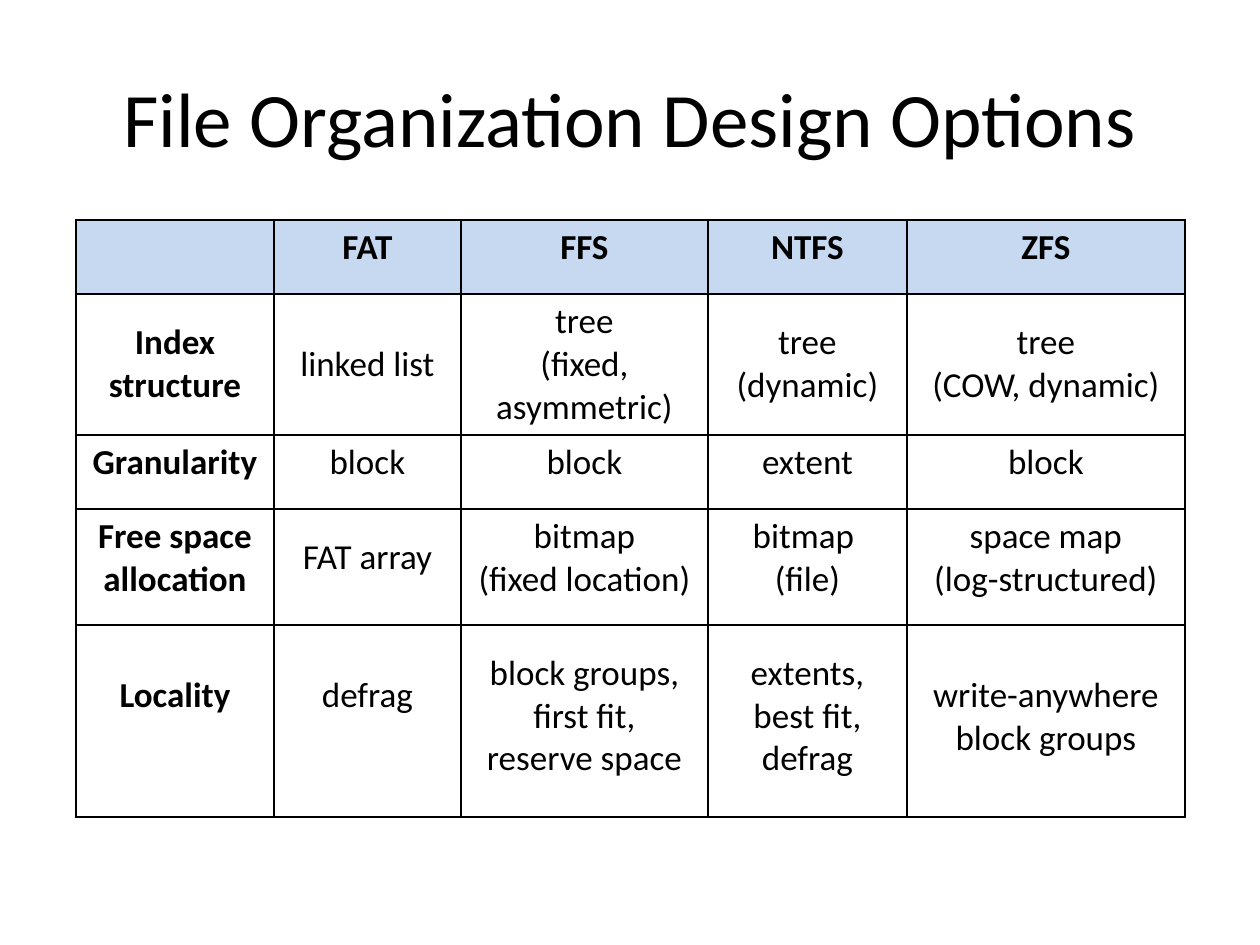
from dataclasses import dataclass

from lxml import etree
from pptx import Presentation
from pptx.dml.color import RGBColor
from pptx.enum.text import MSO_ANCHOR, PP_ALIGN
from pptx.oxml.ns import qn
from pptx.util import Emu, Pt

PIXEL = 914400 // 126


@dataclass(frozen=True)
class Theme:
    """Colours, font and type sizes of the slide."""
    font: str = "Calibri"
    ink: str = "000000"
    header: str = "C6D9F1"
    title_size: int = 44
    cell_size: int = 20
    border_width: int = 1


THEME = Theme()
COLUMNS = [198, 187, 247, 199, 278]
ROWS = [74, 141, 74, 116, 192]
CELL_PADDING = 6
HALF, FULL = 21, 43

CELLS = [
    ["", "FAT", "FFS", "NTFS", "ZFS"],
    ["Index structure", "linked list", "tree\n(fixed, asymmetric)",
     "tree\n(dynamic)", "tree\n(COW, dynamic)"],
    ["Granularity", "block", "block", "extent", "block"],
    ["Free space\nallocation", "FAT array", "bitmap\n(fixed location)",
     "bitmap \n(file)", "space map\n(log-structured)"],
    ["Locality", "defrag", "block groups, first fit,\nreserve space",
     "extents,\nbest fit,\ndefrag", "write-anywhere\nblock groups"],
]
DROPS = [
    [0, 0, 0, 0, 0],
    [HALF, FULL, 0, HALF, HALF],
    [0, 0, 0, 0, 0],
    [0, HALF, 0, 0, 0],
    [FULL, FULL, HALF, HALF, FULL],
]


def px(length):
    """Turn picture pixels into EMU."""
    return Emu(length * PIXEL)


def write(frame, text, size, bold=False):
    """Fill a text frame with centred paragraphs, one for each line."""
    frame.text = text
    for paragraph in frame.paragraphs:
        paragraph.alignment = PP_ALIGN.CENTER
        font = paragraph.font
        font.name, font.size, font.bold = THEME.font, Pt(size), bold
        font.color.rgb = RGBColor.from_string(THEME.ink)


def add_borders(cell):
    """Draw a solid line on all four sides of a cell."""
    properties = cell._tc.get_or_add_tcPr()
    for index, side in enumerate(("a:lnL", "a:lnR", "a:lnT", "a:lnB")):
        line = etree.Element(qn(side), w=str(Pt(THEME.border_width)))
        fill = etree.SubElement(line, qn("a:solidFill"))
        etree.SubElement(fill, qn("a:srgbClr"), val=THEME.ink)
        properties.insert(index, line)


def place_title(slide, box, text):
    """Move the title placeholder into its box and write it."""
    title = slide.shapes.title
    title.left, title.top, title.width, title.height = map(px, box)
    write(title.text_frame, text, THEME.title_size)
    title.text_frame.vertical_anchor = MSO_ANCHOR.MIDDLE


def style_cell(cell, text, drop, is_header, is_label):
    """Set the fill, borders, top offset and text of one cell."""
    if is_header:
        cell.fill.solid()
        cell.fill.fore_color.rgb = RGBColor.from_string(THEME.header)
    else:
        cell.fill.background()
    add_borders(cell)
    cell.margin_top = px(CELL_PADDING + drop)
    cell.margin_bottom = px(CELL_PADDING)
    write(cell.text_frame, text, THEME.cell_size, is_header or is_label)


def place_table(slide, box):
    """Add the comparison table, sharing its box out by row and column."""
    left, top, width, height = box
    table = slide.shapes.add_table(
        len(ROWS), len(COLUMNS), px(left), px(top), px(width), px(height)).table
    for column, share in zip(table.columns, COLUMNS):
        column.width = px(round(width * share / sum(COLUMNS)))
    for row, share in zip(table.rows, ROWS):
        row.height = px(round(height * share / sum(ROWS)))
    for r, texts in enumerate(CELLS):
        for c, text in enumerate(texts):
            style_cell(table.cell(r, c), text, DROPS[r][c], r == 0, c == 0)


def build():
    """Build the slide and save it."""
    presentation = Presentation()
    presentation.slide_width, presentation.slide_height = px(1260), px(945)
    slide = presentation.slides.add_slide(presentation.slide_layouts[5])
    place_title(slide, (63, 38, 1134, 157), "File Organization Design Options")
    place_table(slide, (76, 220, sum(COLUMNS), sum(ROWS)))
    presentation.save("out.pptx")


build()
